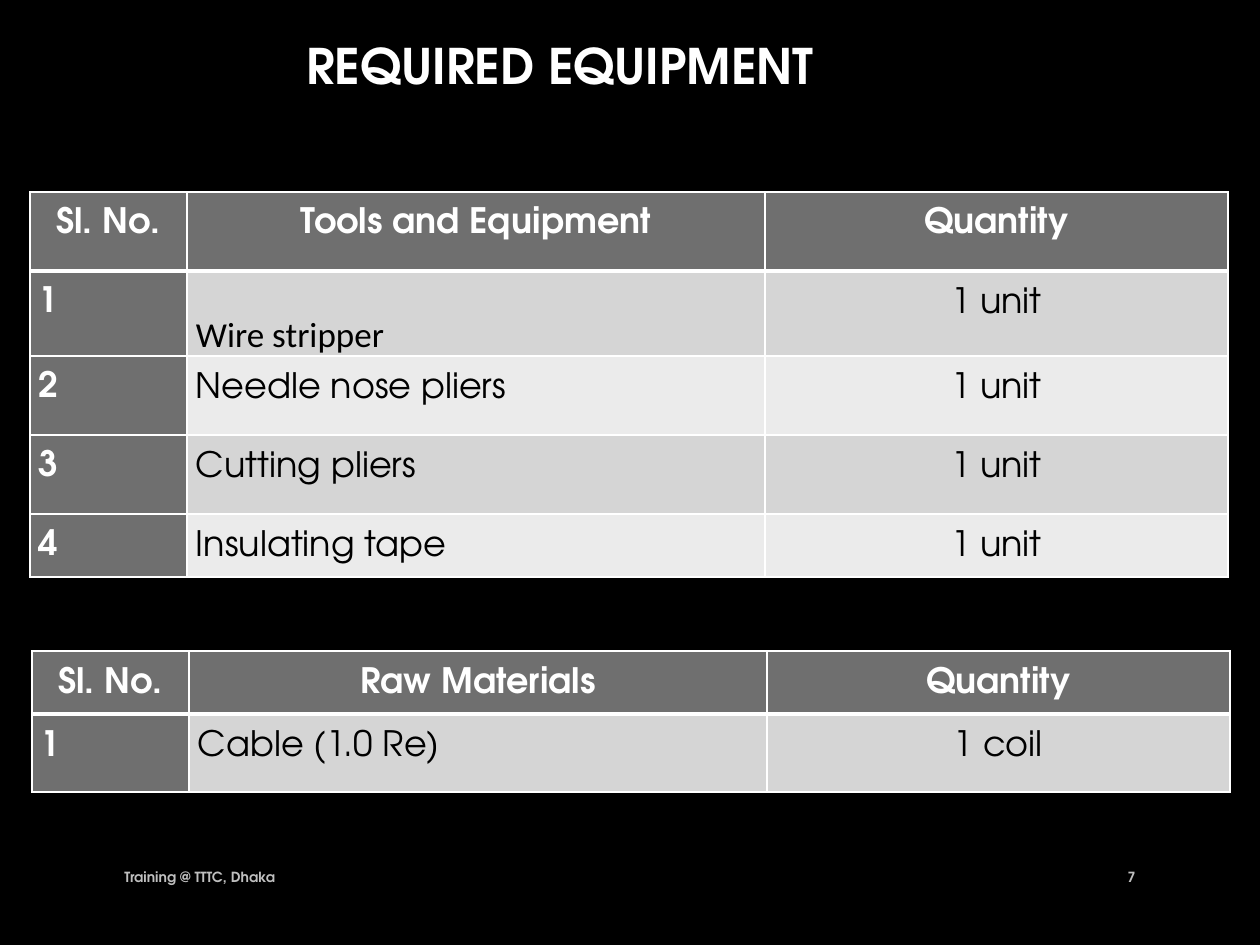
from lxml.etree import SubElement
from pptx import Presentation
from pptx.dml.color import RGBColor
from pptx.enum.text import MSO_ANCHOR as ANCHOR, PP_ALIGN as ALIGN
from pptx.oxml.ns import qn
from pptx.util import Pt

PX = 914400 // 126
FONT = "TeX Gyre Adventor"
COLORS = {"bg": "000000", "white": "FFFFFF", "muted": "BFBFBF", "text": "000000",
          "head": "6F6F6F", "odd": "D5D5D5", "even": "EBEBEB"}

# Content
TITLE = "REQUIRED EQUIPMENT"
FOOTER = "Training @ TTTC, Dhaka"
PAGE = "7"
TABLES = [
    {"at": (30, 192), "heights": [79, 79, 79, 79, 48], "rows": [
        ("Sl. No.", "Tools and Equipment", "Quantity"),
        ("1", "Wire stripper", "1 unit"),
        ("2", "Needle nose pliers", "1 unit"),
        ("3", "Cutting pliers", "1 unit"),
        ("4", "Insulating tape", "1 unit")]},
    {"at": (32, 651), "heights": [53, 78], "rows": [
        ("Sl. No.", "Raw Materials", "Quantity"),
        ("1", "Cable (1.0 Re)", "1 coil")]},
]
COL_WIDTHS = [157, 578, 463]
CELL_INSET = 9
LOWERED = {"Wire stripper": 22}  # Calibri entry sits lower in its row


def rgb(name):
    return RGBColor.from_string(COLORS[name])


def write(tf, text, size=20, color="white", bold=True, font=FONT,
          align=ALIGN.LEFT, spacing=None):
    p = tf.paragraphs[0]
    p.alignment = align
    if spacing:
        p.line_spacing = spacing
    r = p.add_run()
    r.text = text
    r.font.name, r.font.size, r.font.bold = font, Pt(size), bold
    r.font.color.rgb = rgb(color)
    return r


def add_text(slide, box, text, **fmt):
    tf = slide.shapes.add_textbox(*(v * PX for v in box)).text_frame
    tf.word_wrap = True
    tf.vertical_anchor = ANCHOR.MIDDLE
    return write(tf, text, **fmt)


def set_borders(cell, bottom):
    tcPr = cell._tc.get_or_add_tcPr()
    for i, (side, width) in enumerate(
            [("lnL", 1), ("lnR", 1), ("lnT", 1), ("lnB", bottom)]):
        ln = tcPr.makeelement(qn(f"a:{side}"), {"w": str(Pt(width))})
        fill = SubElement(ln, qn("a:solidFill"))
        SubElement(fill, qn("a:srgbClr"), val=COLORS["white"])
        tcPr.insert(i, ln)


def add_table(slide, at, heights, rows):
    x, y = at
    table = slide.shapes.add_table(
        len(rows), len(COL_WIDTHS), x * PX, y * PX,
        sum(COL_WIDTHS) * PX, sum(heights) * PX).table
    table.first_row = table.horz_banding = False
    for column, width in zip(table.columns, COL_WIDTHS):
        column.width = width * PX
    for i, (height, row) in enumerate(zip(heights, rows)):
        table.rows[i].height = height * PX
        for j, text in enumerate(row):
            cell = table.cell(i, j)
            heading = i == 0 or j == 0
            cell.margin_left = cell.margin_right = CELL_INSET * PX
            cell.margin_top = LOWERED.get(text, 0) * PX
            cell.margin_bottom = 0
            cell.fill.solid()
            cell.fill.fore_color.rgb = rgb(
                "head" if heading else "odd" if i % 2 else "even")
            # Header rule is thick on both sides of the shared edge
            set_borders(cell, bottom=3 if i == 0 else 1)
            write(cell.text_frame, text, bold=heading,
                  color="white" if heading else "text",
                  font="Calibri" if text in LOWERED else FONT,
                  align=ALIGN.CENTER if i == 0 or j == 2 else ALIGN.LEFT,
                  spacing=1.5)


prs = Presentation()
prs.slide_width, prs.slide_height = 1260 * PX, 945 * PX
slide = prs.slides.add_slide(prs.slide_layouts[6])
slide.background.fill.solid()
slide.background.fill.fore_color.rgb = rgb("bg")

# Title with a vertical white-to-grey fade
r = add_text(slide, (294, 0, 684, 130), TITLE, size=28)
r.font.fill.gradient()
r.font.fill.gradient_angle = 270
for stop, color in zip(r.font.fill.gradient_stops, ("white", "muted")):
    stop.color.rgb = rgb(color)

# Footer and page number
add_text(slide, (112, 852, 775, 50), FOOTER, size=8, color="muted")
add_text(slide, (1091, 852, 57, 50), PAGE, size=8, color="muted", align=ALIGN.RIGHT)

# Tables
for spec_table in TABLES:
    add_table(slide, **spec_table)

prs.save("out.pptx")
